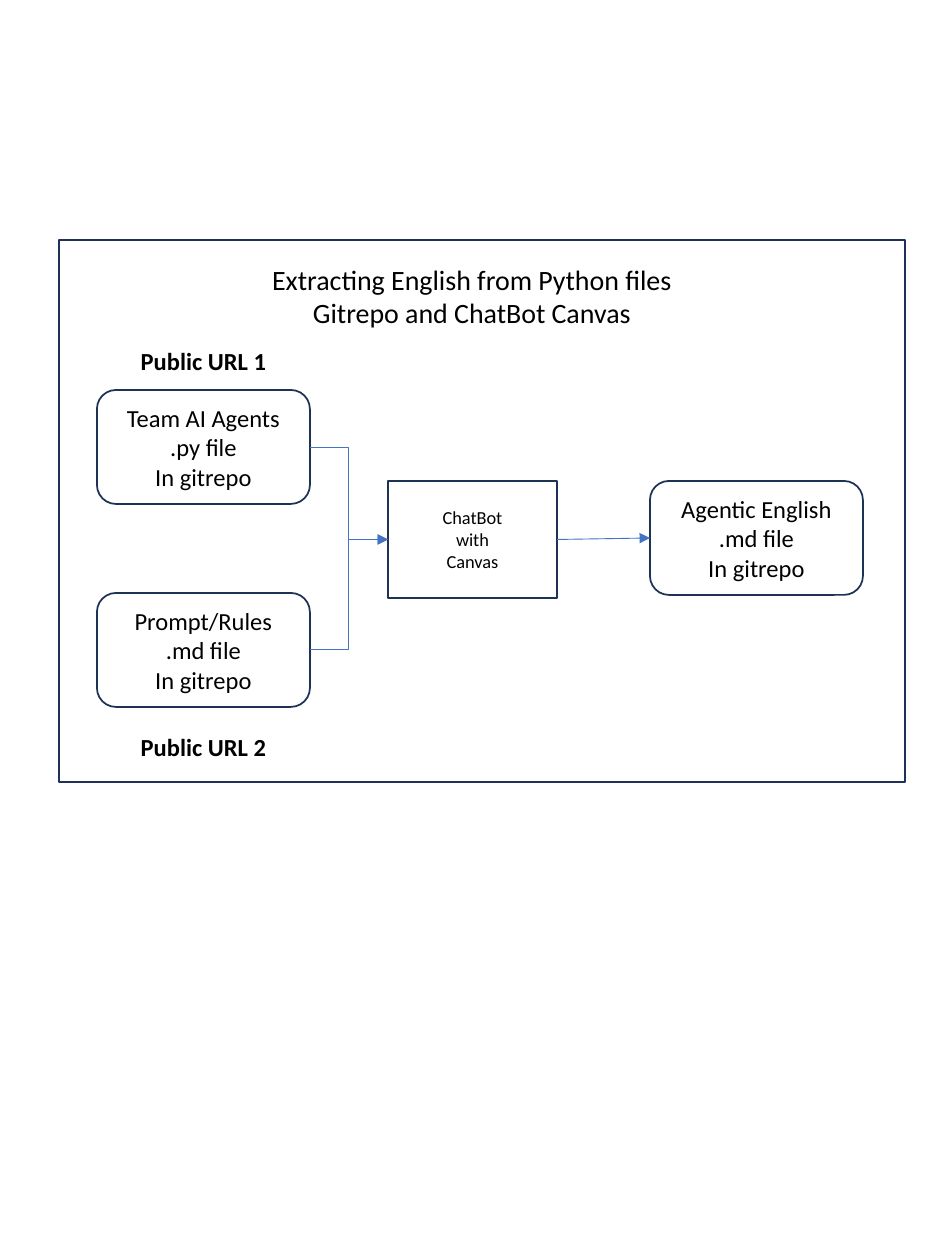
from dataclasses import dataclass

from lxml.etree import SubElement
from pptx import Presentation
from pptx.dml.color import RGBColor
from pptx.enum.shapes import MSO_CONNECTOR, MSO_SHAPE
from pptx.enum.text import MSO_ANCHOR, PP_ALIGN
from pptx.oxml.ns import qn
from pptx.shapes.autoshape import Shape
from pptx.slide import Slide
from pptx.util import Emu, Pt

SCALE = 914400 / 126
NAVY = RGBColor(0x1E, 0x32, 0x56)
BLUE = RGBColor(0x44, 0x72, 0xC4)
BLACK = RGBColor(0, 0, 0)
ROUND = MSO_SHAPE.ROUNDED_RECTANGLE
RECT = MSO_SHAPE.RECTANGLE
LEFT, RIGHT = 1, 3


@dataclass(frozen=True)
class Box:
    left: int
    top: int
    width: int
    height: int
    lines: tuple[str, ...] = ()
    size: float = 14
    form: MSO_SHAPE = ROUND


@dataclass(frozen=True)
class Label:
    left: int
    top: int
    width: int
    height: int
    lines: tuple[str, ...]
    size: float = 14
    bold: bool = False


@dataclass(frozen=True)
class Link:
    start: str
    end: str
    kind: MSO_CONNECTOR = MSO_CONNECTOR.ELBOW


FILE = (213, 114)
BOXES = {
    "agents": Box(97, 390, *FILE, ("Team AI Agents", ".py file", "In gitrepo")),
    "rules": Box(97, 593, *FILE, ("Prompt/Rules", ".md file", "In gitrepo")),
    "chat": Box(388, 481, 169, 117, ("ChatBot", "with", "Canvas"), 10.5, RECT),
    "result": Box(650, 481, *FILE, ("Agentic English", ".md file", "In gitrepo")),
}
FRAME = Box(59, 240, 846, 542, form=RECT)
LINKS = (
    Link("agents", "chat"),
    Link("rules", "chat"),
    Link("chat", "result", MSO_CONNECTOR.STRAIGHT),
)
LABELS = (
    Label(153, 256, 638, 81,
          ("Extracting English from Python files", "Gitrepo and ChatBot Canvas"), 16),
    Label(97, 340, 213, 43, ("Public URL 1",), bold=True),
    Label(97, 726, 213, 43, ("Public URL 2",), bold=True),
)


def px(count: int) -> Emu:
    return Emu(round(count * SCALE))


def place(item: Box | Label) -> tuple[Emu, ...]:
    return tuple(px(n) for n in (item.left, item.top, item.width, item.height))


def write(shape: Shape, item: Box | Label, anchor: MSO_ANCHOR, bold: bool) -> None:
    frame = shape.text_frame
    for name, value in {"word_wrap": True, "vertical_anchor": anchor}.items():
        setattr(frame, name, value)
    style = {"name": "Calibri", "size": Pt(item.size), "bold": bold}
    for index, line in enumerate(item.lines):
        para = frame.add_paragraph() if index else frame.paragraphs[0]
        para.alignment = PP_ALIGN.CENTER
        run = para.add_run()
        run.text = line
        for name, value in style.items():
            setattr(run.font, name, value)
        run.font.color.rgb = BLACK


def draw_box(slide: Slide, box: Box) -> Shape:
    shape = slide.shapes.add_shape(box.form, *place(box))
    shape.shadow.inherit = False
    shape.fill.background()
    shape.line.color.rgb = NAVY
    shape.line.width = Pt(1)
    write(shape, box, MSO_ANCHOR.MIDDLE, False)
    return shape


def draw_label(slide: Slide, label: Label) -> None:
    shape = slide.shapes.add_textbox(*place(label))
    write(shape, label, MSO_ANCHOR.TOP, label.bold)


def draw_link(slide: Slide, link: Link, shapes: dict[str, Shape]) -> None:
    wire = slide.shapes.add_connector(link.kind, 0, 0, 0, 0)
    wire.begin_connect(shapes[link.start], RIGHT)
    wire.end_connect(shapes[link.end], LEFT)
    wire.line.color.rgb = BLUE
    wire.line.width = Pt(0.5)
    props = wire.element.spPr
    SubElement(props.find(qn("a:ln")), qn("a:tailEnd"), type="triangle")
    SubElement(props, qn("a:effectLst"))


def main() -> None:
    deck = Presentation()
    deck.slide_width, deck.slide_height = px(945), px(1260)
    slide = deck.slides.add_slide(deck.slide_layouts[6])
    shapes = {name: draw_box(slide, box) for name, box in BOXES.items()}
    for link in LINKS:
        draw_link(slide, link, shapes)
    for label in LABELS:
        draw_label(slide, label)
    draw_box(slide, FRAME)
    deck.save("out.pptx")


if __name__ == "__main__":
    main()
